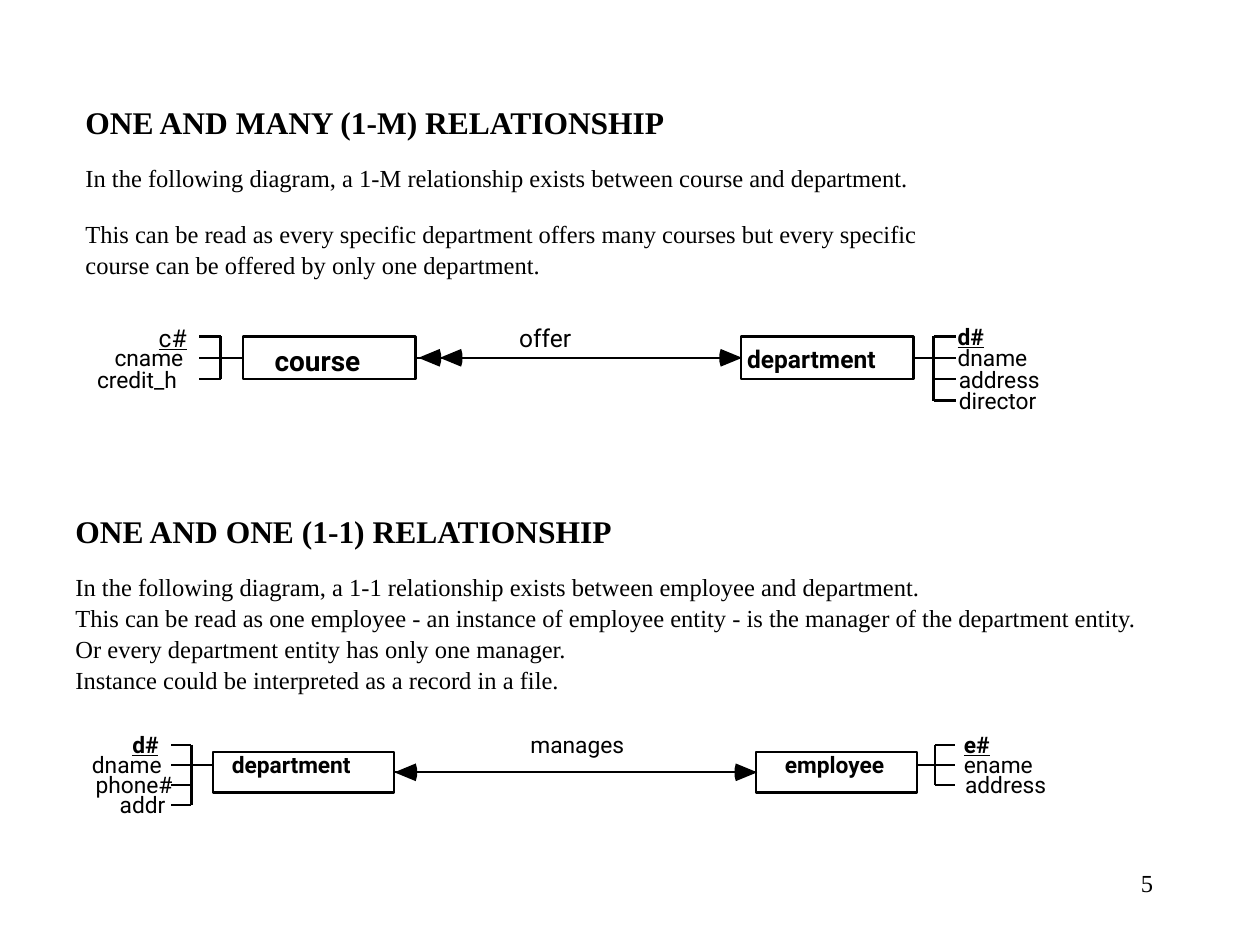
from pptx import Presentation
from pptx.util import Inches, Pt
from pptx.dml.color import RGBColor
from pptx.enum import shapes as sh, text as tx
from pptx.oxml.ns import qn

BLACK, WHITE = "000000", "FFFFFF"
SERIF, SANS = "Times New Roman", "Roboto"


def paint(fmt, hue):
    """Give a font, fill or line one solid colour."""
    if hasattr(fmt, "solid"):
        fmt.solid()
        fmt.fore_color.rgb = RGBColor.from_string(hue)
    else:
        fmt.color.rgb = RGBColor.from_string(hue)


def wire(x1, y1, x2, y2, wide):
    """Draw a plain black line."""
    line = slide.shapes.add_connector(
        sh.MSO_CONNECTOR.STRAIGHT, Inches(x1), Inches(y1), Inches(x2), Inches(y2))
    paint(line.line, BLACK)
    line.line.width = Pt(wide)
    props = line._element.spPr
    props.append(props.makeelement(qn("a:effectLst"), {}))
    return line


deck = Presentation()
deck.slide_width, deck.slide_height = Inches(10), Inches(7.5)
slide = deck.slides.add_slide(deck.slide_layouts[6])

# Headings and body text: (text, size, bold, space before)
notes = [
    (0.58, 0.75, 7.17, 1.8, [
        ("ONE AND MANY (1-M) RELATIONSHIP", 18, True, 0),
        ("In the following diagram, a 1-M relationship exists between course "
         "and department.", 14, False, 12),
        ("This can be read as every specific department offers many courses but "
         "every specific course can be offered by only one department.",
         14, False, 14.5)]),
    (0.5, 4, 8.75, 1.74, [
        ("ONE AND ONE (1-1) RELATIONSHIP", 18, True, 0),
        ("In the following diagram, a 1-1 relationship exists between employee "
         "and department.", 14, False, 12),
        ("This can be read as one employee - an instance of employee entity - "
         "is the manager of the department entity.", 14, False, 0),
        ("Or every department entity has only one manager.", 14, False, 0),
        ("Instance could be interpreted as a record in a file.", 14, False, 0)]),
    (7.17, 6.83, 2.08, 0.5, [("5", 14, False, 0)]),
]
for x, y, w, h, paras in notes:
    frame = slide.shapes.add_textbox(
        Inches(x), Inches(y), Inches(w), Inches(h)).text_frame
    frame.word_wrap = True
    for i, (words, size, bold, gap) in enumerate(paras):
        para = frame.paragraphs[0] if i == 0 else frame.add_paragraph()
        para.text = words
        para.line_spacing = 1.05
        para.space_before = Pt(gap)
        font = para.runs[0].font
        font.name, font.size, font.bold = SERIF, Pt(size), bold
        paint(font, BLACK)
para.alignment = tx.PP_ALIGN.RIGHT  # page number

# Diagrams: boxes are (left, width); combs are (spine, tooth end, rows);
# heads are (tip, direction)
plans = [
    dict(top=2.67, high=0.34, wide=1.39, row=2.67, step=0.17, stub=2.84,
         boxes=[(1.93, 1.37), (5.88, 1.37)],
         combs=[(1.75, 1.58, 3), (7.41, 7.59, 4)],
         heads=[(3.32, 1), (3.49, 1), (5.89, -1)]),
    dict(top=5.97, high=0.32, wide=1.25, row=5.91, step=0.16, stub=6.07,
         boxes=[(1.69, 1.44), (6, 1.28)],
         combs=[(1.52, 1.36, 4), (7.42, 7.58, 3)],
         heads=[(3.13, 1), (6.01, -1)]),
]
for plan in plans:
    wide, mid = plan["wide"], plan["top"] + plan["high"] / 2

    # Entity boxes
    pair = []
    for x, w in plan["boxes"]:
        box = slide.shapes.add_shape(
            sh.MSO_SHAPE.RECTANGLE, Inches(x), Inches(plan["top"]),
            Inches(w), Inches(plan["high"]))
        box.shadow.inherit = False
        paint(box.fill, WHITE)
        paint(box.line, BLACK)
        box.line.width = Pt(wide)
        pair.append(box)

    # Attribute combs, joined to the outer side of each box
    sides = [plan["boxes"][0][0], sum(plan["boxes"][1])]
    for box, side, edge, (spine, tip, rows) in zip(
            pair, (1, 3), sides, plan["combs"]):
        stub = wire(edge, plan["stub"], spine, plan["stub"], wide)
        if abs(plan["stub"] - mid) < 0.01:
            stub.begin_connect(box, side)
        ys = [plan["row"] + i * plan["step"] for i in range(rows)]
        wire(spine, ys[0], spine, ys[-1], wide)
        for y in ys:
            wire(spine, y, tip, y, wide)

    # Relationship line and arrowheads
    link = wire(sum(plan["boxes"][0]), mid, plan["boxes"][1][0], mid, wide)
    link.begin_connect(pair[0], 3)
    link.end_connect(pair[1], 1)
    for tip, way in plan["heads"]:
        pen = slide.shapes.build_freeform(Inches(tip), Inches(mid))
        pen.add_line_segments([
            (Inches(tip + way * dx), Inches(mid + dy)) for dx, dy in
            [(0.17, -0.07), (0.18, -0.03), (0.18, 0.03), (0.17, 0.07)]])
        head = pen.convert_to_shape()
        head.shadow.inherit = False
        paint(head.fill, BLACK)
        head.line.fill.background()

# Labels: (text, left, top, width, size, bold, underlined)
labels = [
    ("offer", 4.12, 2.56, 0.44, 14, False, False),
    ("course", 2.18, 2.73, 0.74, 16, True, False),
    ("department", 5.93, 2.73, 1.17, 14, True, False),
    ("manages", 4.21, 5.8, 0.78, 13, False, False),
    ("department", 1.84, 5.96, 1.08, 13, True, False),
    ("employee", 6.23, 5.96, 0.89, 13, True, False),
]

# Attribute names: first row top, row step, key size, key bold, (name, left, width)
lists = [
    (2.56, 0.17, 14, False,
     [("c#", 1.26, 0.23), ("cname", 0.91, 0.57), ("credit_h", 0.77, 0.68)]),
    (2.56, 0.17, 13, True,
     [("d#", 7.6, 0.23), ("dname", 7.6, 0.59), ("address", 7.61, 0.67),
      ("director", 7.61, 0.67)]),
    (5.8, 0.16, 13, True,
     [("d#", 1.05, 0.23), ("dname", 0.73, 0.59), ("phone#", 0.76, 0.66),
      ("addr", 0.95, 0.39)]),
    (5.8, 0.16, 13, True,
     [("e#", 7.65, 0.23), ("ename", 7.65, 0.58), ("address", 7.66, 0.67)]),
]
for top, step, size, bold, names in lists:
    for i, (name, x, w) in enumerate(names):
        key = i == 0
        labels.append((name, x, top + i * step, w, size if key else 13,
                       bold and key, key))

for words, x, y, w, size, bold, under in labels:
    frame = slide.shapes.add_textbox(
        Inches(x), Inches(y), Inches(w), Inches(size / 60)).text_frame
    frame.margin_left = frame.margin_right = 0
    frame.margin_top = frame.margin_bottom = 0
    frame.word_wrap = False
    frame.text = words
    font = frame.paragraphs[0].runs[0].font
    font.name, font.size, font.bold, font.underline = SANS, Pt(size), bold, under
    paint(font, BLACK)

deck.save("out.pptx")
